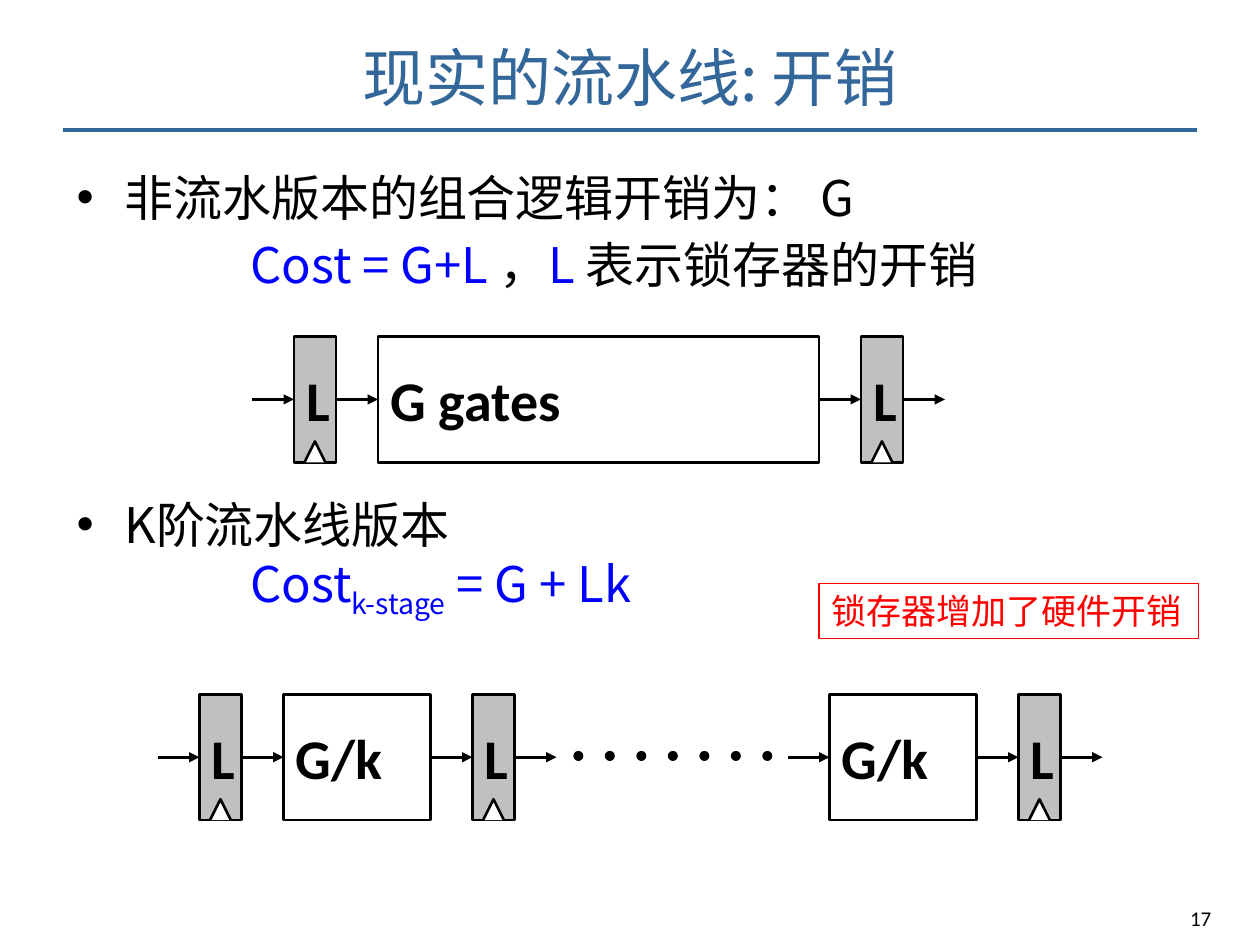
from dataclasses import dataclass

from lxml.etree import SubElement
from pptx import Presentation
from pptx.dml.color import RGBColor
from pptx.enum.shapes import MSO_CONNECTOR, MSO_SHAPE
from pptx.enum.text import MSO_ANCHOR, PP_ALIGN
from pptx.oxml.ns import qn
from pptx.util import Inches, Pt


@dataclass(frozen=True)
class Theme:
    title: str = "336699"
    ink: str = "000000"
    formula: str = "0000FF"
    warning: str = "FF0000"
    latch: str = "C0C0C0"
    paper: str = "FFFFFF"
    chinese: str = "Noto Sans CJK SC"
    latin: str = "Calibri"
    title_size: int = 36
    block_size: int = 32
    body_size: int = 28
    note_size: int = 20
    number_size: int = 12
    stroke: float = 1.5


THEME = Theme()
TITLE = "现实的流水线: 开销"
NOTE = "锁存器增加了硬件开销"
PAGE_NUMBER = "17"

# (bulleted, space before in points, runs of (text, colour, baseline shift))
BODY = [
    (True, 0, [("非流水版本的组合逻辑开销为：", THEME.ink, 0), (" G", THEME.ink, 0)]),
    (False, 0, [("Cost = G+L ", THEME.formula, 0), ("，", THEME.ink, 0),
                ("L ", THEME.formula, 0), ("表示锁存器的开销", THEME.ink, 0)]),
    (True, 110, [("K阶流水线版本", THEME.ink, 0)]),
    (False, 0, [("Cost", THEME.formula, 0), ("k-stage", THEME.formula, -25000),
                (" = G + Lk", THEME.formula, 0)]),
]

UNIT = 1 / 3  # width of a latch and length of an arrow, in inches
BLOCK_HEIGHT = 3 * UNIT
LATCH = ("L", 1, THEME.latch)
WHOLE_LOGIC = ("G gates", 10.5, THEME.paper)
STAGE_LOGIC = ("G/k", 3.5, THEME.paper)
# (left, top, blocks of (label, width in units, fill))
CHAINS = [
    (2, 2.67, [LATCH, WHOLE_LOGIC, LATCH]),
    (1.25, 5.51, [LATCH, STAGE_LOGIC, LATCH]),
    (6.25, 5.51, [STAGE_LOGIC, LATCH]),
]
DOT_COUNT, DOT_LEFT, DOT_TOP, DOT_PITCH, DOT_SIZE = 7, 4.55, 5.96, 0.25, 0.08


def color(value):
    return RGBColor.from_string(value)


def add_run(paragraph, text, size, value, font, bold=False, shift=0):
    run = paragraph.add_run()
    run.text = text
    run.font.size = Pt(size)
    run.font.bold = bold
    run.font.name = font
    run.font.color.rgb = color(value)
    properties = run.font._element
    SubElement(properties, qn("a:ea")).set("typeface", font)
    if shift:
        properties.set("baseline", str(shift))


def add_text_box(slide, left, top, width, height):
    box = slide.shapes.add_textbox(*map(Inches, (left, top, width, height)))
    box.text_frame.word_wrap = True
    return box


def add_line(slide, start, end, value, width):
    line = slide.shapes.add_connector(
        MSO_CONNECTOR.STRAIGHT, *map(Inches, (*start, *end)))
    line.line.color.rgb = color(value)
    line.line.width = Pt(width)
    SubElement(line._element.spPr, qn("a:effectLst"))
    return line


def add_arrow(slide, left, middle, source, target):
    arrow = add_line(slide, (left, middle), (left + UNIT, middle),
                     THEME.ink, THEME.stroke)
    arrow.line._get_or_add_ln().append(
        arrow._element.makeelement(qn("a:tailEnd"), {"type": "triangle"}))
    if source is not None:
        arrow.begin_connect(source, 3)
    if target is not None:
        arrow.end_connect(target, 1)


def style_shape(shape, fill, stroke):
    shape.shadow.inherit = False
    shape.fill.solid()
    shape.fill.fore_color.rgb = color(fill)
    if stroke:
        shape.line.color.rgb = color(THEME.ink)
        shape.line.width = Pt(stroke)
    else:
        shape.line.fill.background()


def add_block(slide, left, top, label, width, fill):
    block = slide.shapes.add_shape(
        MSO_SHAPE.RECTANGLE, *map(Inches, (left, top, width, BLOCK_HEIGHT)))
    style_shape(block, fill, THEME.stroke)
    frame = block.text_frame
    frame.word_wrap = False
    frame.vertical_anchor = MSO_ANCHOR.MIDDLE
    paragraph = frame.paragraphs[0]
    paragraph.alignment = PP_ALIGN.LEFT
    add_run(paragraph, label, THEME.block_size, THEME.ink, THEME.latin, bold=True)
    return block


def add_clock_mark(slide, left, top):
    """Open triangle at the foot of a latch, half as wide as the latch."""
    half, bottom, center = UNIT / 4, top + BLOCK_HEIGHT, left + UNIT / 2
    builder = slide.shapes.build_freeform(
        Inches(center - half), Inches(bottom), scale=1.0)
    builder.add_line_segments(
        [(Inches(center), Inches(bottom - 2 * half)),
         (Inches(center + half), Inches(bottom))], close=False)
    style_shape(builder.convert_to_shape(), THEME.paper, THEME.stroke)


def add_chain(slide, left, top, blocks):
    """Blocks in a row, with an arrow before, between and after them."""
    middle = top + BLOCK_HEIGHT / 2
    previous = None
    for label, units, fill in blocks:
        block = add_block(slide, left + UNIT, top, label, units * UNIT, fill)
        add_arrow(slide, left, middle, previous, block)
        if label == LATCH[0]:
            add_clock_mark(slide, left + UNIT, top)
        left += UNIT + units * UNIT
        previous = block
    add_arrow(slide, left, middle, previous, None)


def add_title(slide):
    title = slide.shapes.title
    title.left, title.top, title.width, title.height = map(
        Inches, (0, 0.23, 10, 0.75))
    title.text_frame.vertical_anchor = MSO_ANCHOR.MIDDLE
    paragraph = title.text_frame.paragraphs[0]
    paragraph.alignment = PP_ALIGN.CENTER
    add_run(paragraph, TITLE, THEME.title_size, THEME.title, THEME.chinese)
    add_line(slide, (0.5, 1.03), (9.5, 1.03), THEME.title, 2)


def add_body(slide):
    frame = add_text_box(slide, 0.51, 1.21, 9, 4.95).text_frame
    for index, (bulleted, space, runs) in enumerate(BODY):
        paragraph = frame.add_paragraph() if index else frame.paragraphs[0]
        paragraph.line_spacing = Pt(38.5)
        paragraph.space_before = Pt(space)
        properties = paragraph._p.get_or_add_pPr()
        properties.set("marL", str(Inches(0.38 if bulleted else 1.38)))
        if bulleted:
            properties.set("indent", str(-Inches(0.38)))
            SubElement(properties, qn("a:buFont")).set("typeface", "Arial")
            SubElement(properties, qn("a:buChar")).set("char", "•")
        for text, value, shift in runs:
            add_run(paragraph, text, THEME.body_size, value, THEME.chinese, shift=shift)


def add_note(slide):
    note = add_text_box(slide, 6.5, 4.63, 3.01, 0.44)
    note.text_frame.word_wrap = False
    note.line.color.rgb = color(THEME.warning)
    note.line.width = Pt(0.75)
    add_run(note.text_frame.paragraphs[0], NOTE, THEME.note_size,
            THEME.warning, THEME.chinese)


def add_page_number(slide):
    paragraph = add_text_box(slide, 9.25, 7.14, 0.56, 0.23).text_frame.paragraphs[0]
    paragraph.alignment = PP_ALIGN.CENTER
    add_run(paragraph, PAGE_NUMBER, THEME.number_size, THEME.ink, THEME.latin)


def main():
    presentation = Presentation()
    presentation.slide_width, presentation.slide_height = Inches(10), Inches(7.5)
    slide = presentation.slides.add_slide(presentation.slide_layouts[5])
    add_title(slide)
    add_body(slide)
    for chain in CHAINS:
        add_chain(slide, *chain)
    for index in range(DOT_COUNT):
        dot = slide.shapes.add_shape(MSO_SHAPE.OVAL, *map(Inches, (
            DOT_LEFT + index * DOT_PITCH, DOT_TOP, DOT_SIZE, DOT_SIZE)))
        style_shape(dot, THEME.ink, 0)
    add_note(slide)
    add_page_number(slide)
    presentation.save("out.pptx")


if __name__ == "__main__":
    main()
